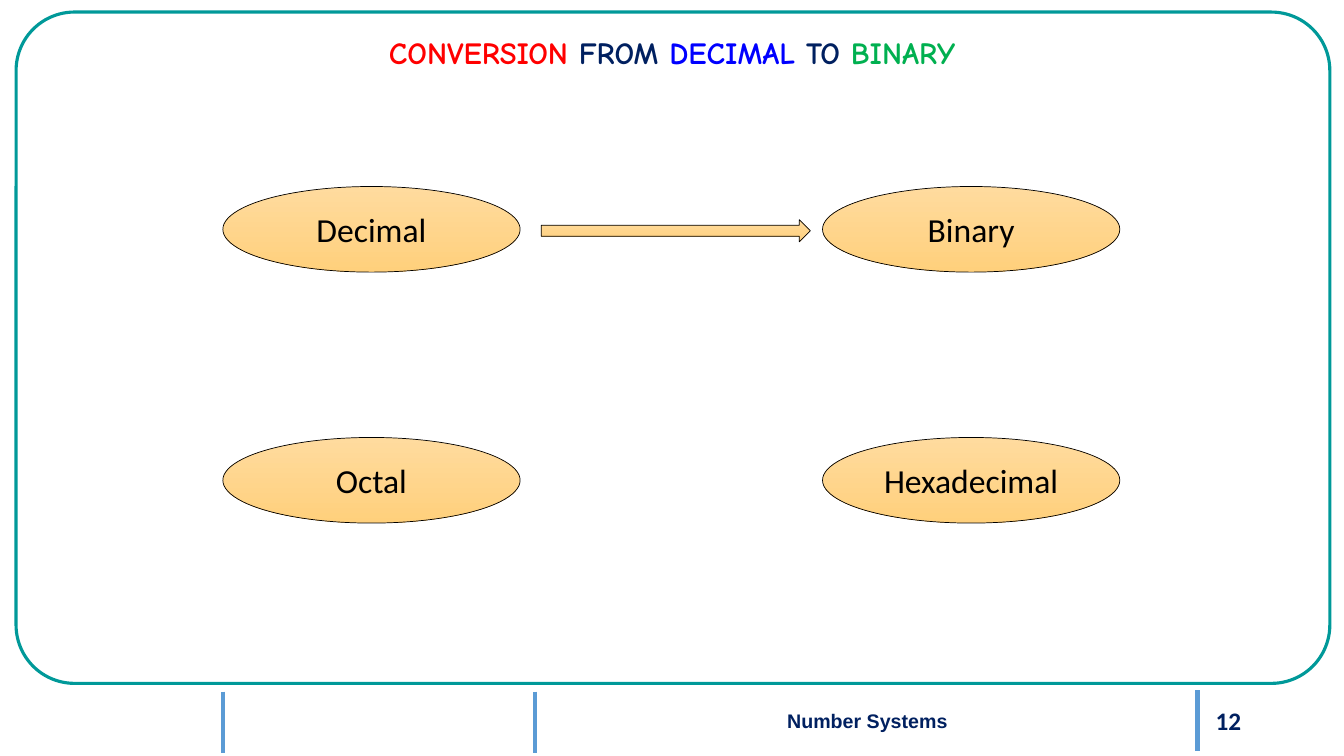
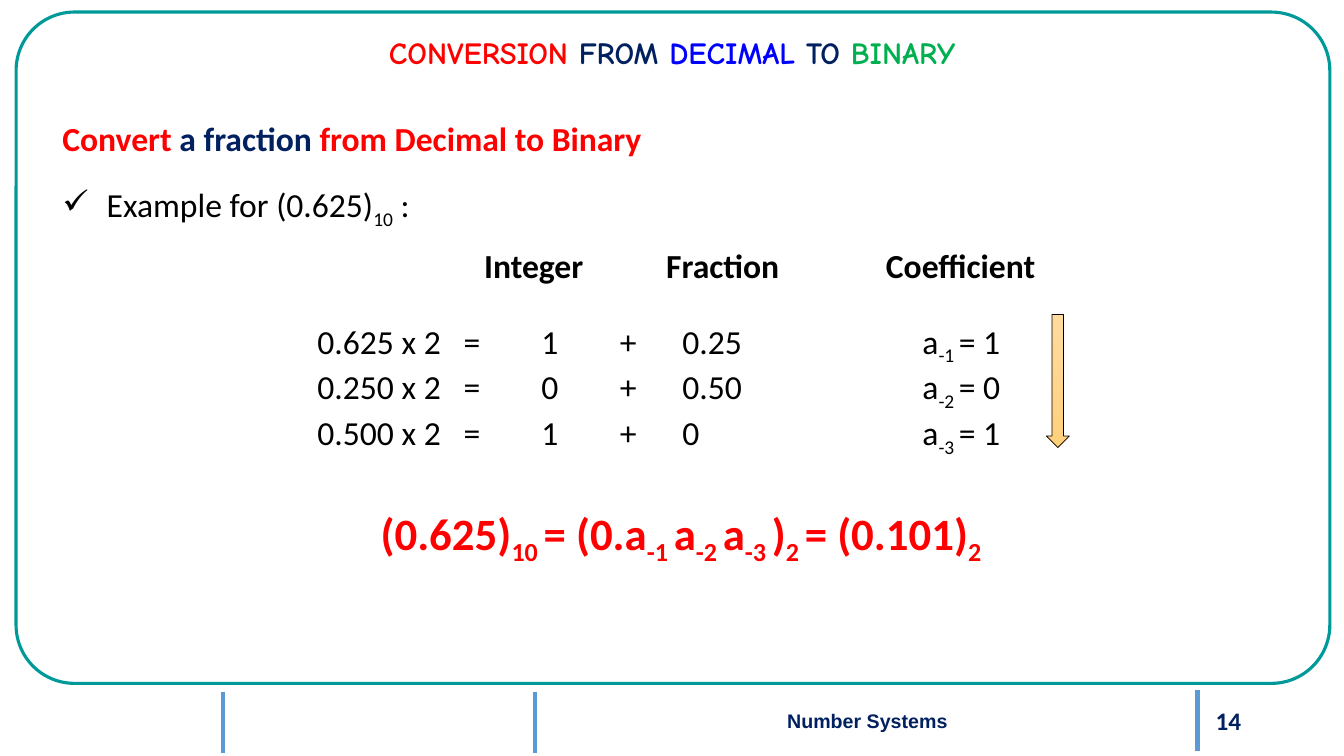
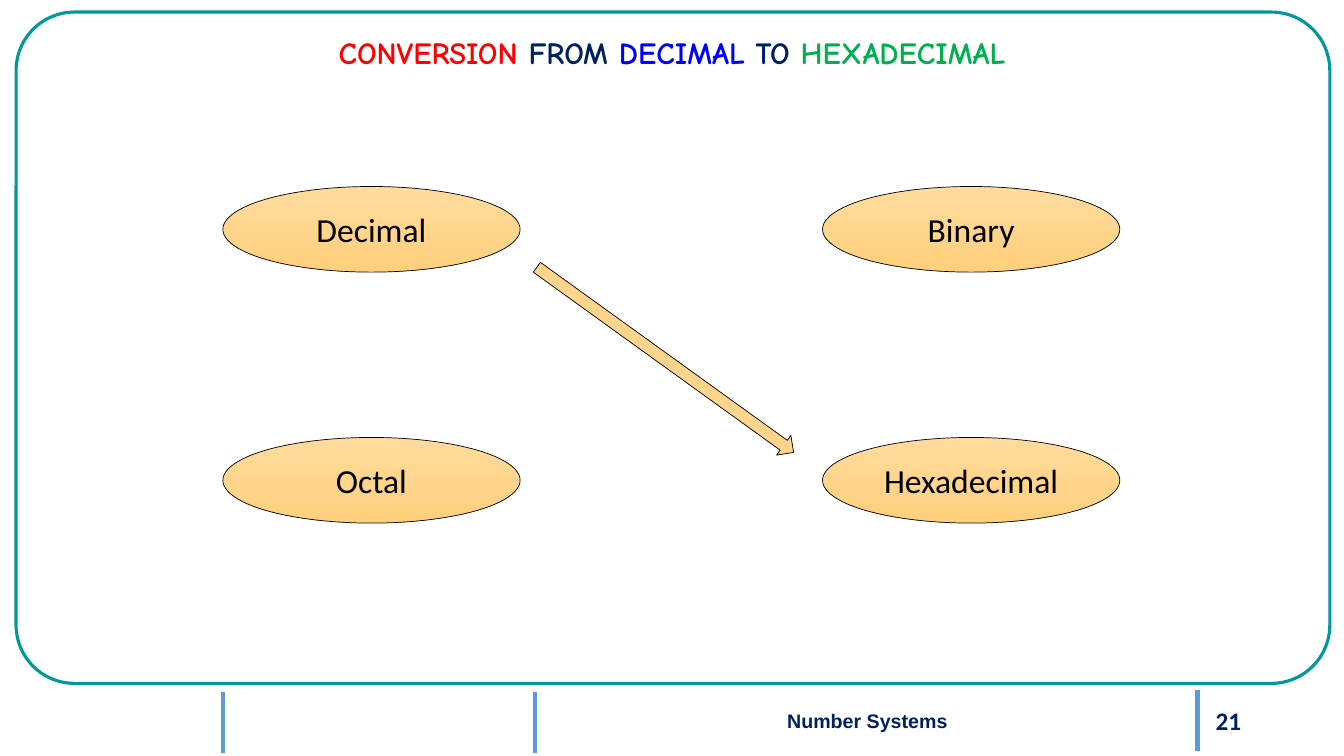
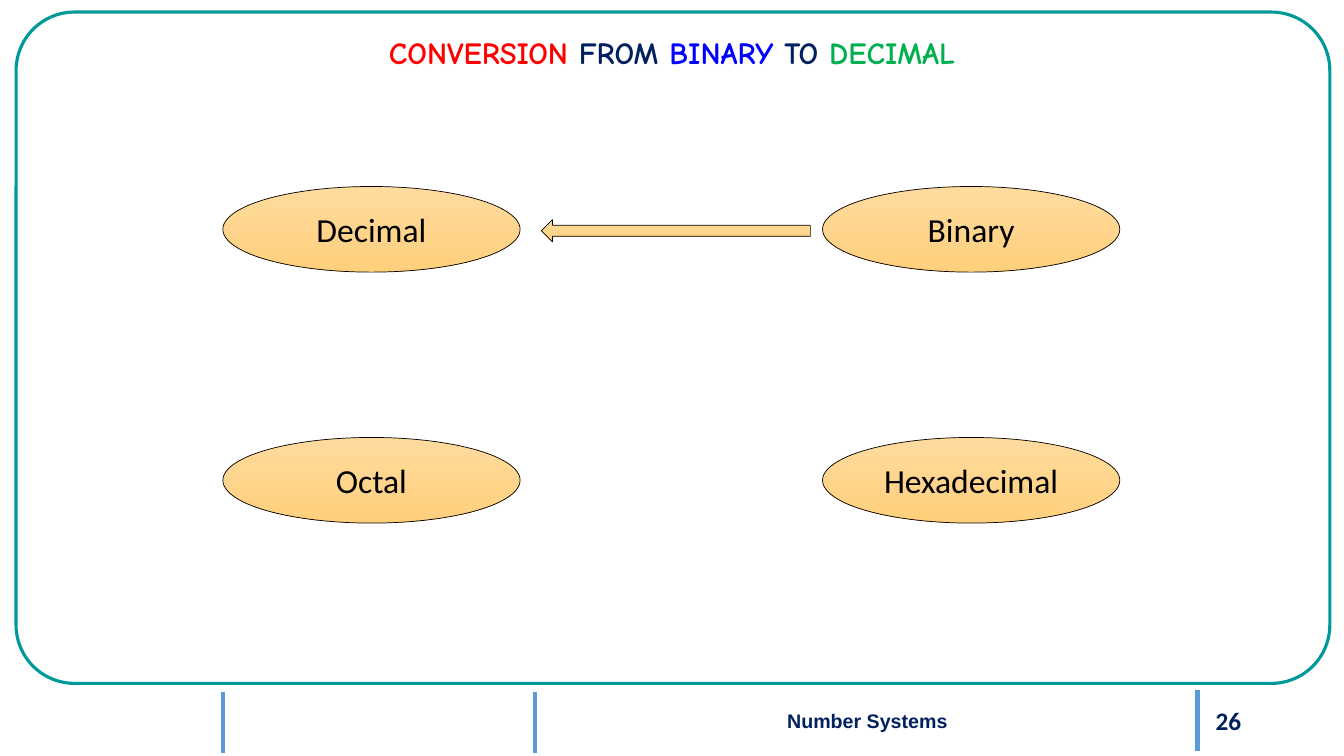
from lxml.etree import SubElement
from pptx import Presentation
from pptx.dml.color import RGBColor
from pptx.enum.shapes import MSO_CONNECTOR, MSO_SHAPE
from pptx.enum.text import MSO_ANCHOR, PP_ALIGN
from pptx.oxml.ns import qn
from pptx.util import Inches, Pt

RED, NAVY, BLUE, GREEN, BLACK = "FF0000", "002060", "0000FF", "00B050", "000000"
TEAL, SKY, WHITE = "009999", "5B9BD5", "FFFFFF"
GOLD = ("FFDB9E", "FFD07C")
LEFT, CENTER, RIGHT = PP_ALIGN.LEFT, PP_ALIGN.CENTER, PP_ALIGN.RIGHT
colour = RGBColor.from_string

deck = Presentation()
deck.slide_width, deck.slide_height = Inches(13.33), Inches(7.5)


def area(left, top, width, height):
    """Turn percentages of the slide's width and height into lengths."""
    across, down = deck.slide_width / 100, deck.slide_height / 100
    return [int(n) for n in (left * across, top * down, width * across, height * down)]


def write(box, text, size=24, font="Calibri", color=BLACK, bold=False, align=LEFT,
          anchor=MSO_ANCHOR.TOP, spacing=None, after=None):
    """Add a paragraph: text is a string or (string, colour) pairs; |x| is a subscript."""
    frame = box.text_frame
    frame.word_wrap, frame.vertical_anchor = True, anchor
    para = frame.paragraphs[0]
    if para.runs:
        para = frame.add_paragraph()
    para.alignment = align
    if spacing:
        para.line_spacing = spacing
    if after:
        para.space_after = Pt(after)
    for part, part_color in [(text, color)] if isinstance(text, str) else text:
        for index, piece in enumerate(part.split("|")):
            if not piece:
                continue
            span = para.add_run()
            span.text = piece
            span.font.name, span.font.size, span.font.bold = font, Pt(size), bold
            span.font.color.rgb = colour(part_color)
            if index % 2:
                span.font._element.set("baseline", "-25000")
    return para


# Number, source and target system, and the arrow of each page
ACROSS = (40.28, 29.07, 20.02, 2.93)
pages = [
    (12, "DECIMAL", "BINARY", MSO_SHAPE.RIGHT_ARROW, ACROSS, 0),
    (14, "DECIMAL", "BINARY", MSO_SHAPE.DOWN_ARROW, (77.85, 41.6, 1.72, 17.6), 0),
    (21, "DECIMAL", "HEXADECIMAL", MSO_SHAPE.RIGHT_ARROW, (37.72, 46, 23.55, 3.2), 35.8),
    (26, "BINARY", "DECIMAL", MSO_SHAPE.LEFT_ARROW, ACROSS, 0),
]
systems = [["Decimal", "Binary"], ["Octal", "Hexadecimal"]]
dividers = [(39.83, 91.47, 99.6), (16.58, 91.47, 99.6), (89.1, 91.33, 99.33)]

for number, source, target, arrow_kind, arrow_area, angle in pages:
    page = deck.slides.add_slide(deck.slide_layouts[6])
    shapes = page.shapes

    # Frame
    border = shapes.add_shape(MSO_SHAPE.ROUNDED_RECTANGLE, *area(1.2, 1.6, 97.75, 88.8))
    border.adjustments[0] = 0.087
    border.shadow.inherit = False
    border.fill.solid()
    border.fill.fore_color.rgb = colour(WHITE)
    border.line.color.rgb, border.line.width = colour(TEAL), Pt(2.25)

    # Footer
    box = shapes.add_textbox(*area(82.8, 92.67, 10.28, 5.33))
    write(box, str(number), size=18, color=NAVY, bold=True, align=RIGHT,
          anchor=MSO_ANCHOR.MIDDLE)
    box = shapes.add_textbox(*area(44.7, 93.07, 39.68, 4.53))
    write(box, "Number Systems", size=14, font="Arial", color=NAVY, bold=True, align=CENTER)
    for x, top, bottom in dividers:
        divider = shapes.add_connector(MSO_CONNECTOR.STRAIGHT, *area(x, top, x, bottom))
        divider.line.color.rgb, divider.line.width = colour(SKY), Pt(3)
        SubElement(divider._element.spPr, qn("a:effectLst"))

    # Title
    box = shapes.add_textbox(*area(3.9, 3.87, 92.2, 6.27))
    write(box, [("CONVERSION", RED), (" FROM ", NAVY), (source, BLUE), (" TO ", NAVY),
                (target, GREEN)], size=22, font="Comic Neue", bold=True, align=CENTER)

    golden = []
    if arrow_kind == MSO_SHAPE.DOWN_ARROW:
        # Worked example: statement
        box = shapes.add_textbox(*area(3.9, 13.87, 92.2, 23.2))
        write(box, [("Convert ", RED), ("a fraction ", NAVY), ("from Decimal to Binary", RED)],
              bold=True, spacing=1.2, after=12)
        para = write(box, "Example for (0.625)|10| :", spacing=1.2, after=6)
        bullet = para._p.get_or_add_pPr()
        bullet.set("marL", str(Inches(0.44)))
        bullet.set("indent", str(-Inches(0.44)))
        SubElement(bullet, qn("a:buChar")).set("char", "✓")

        # Worked example: column heads
        for head, left, width, align in [("Integer", 32.62, 14.18, CENTER),
                                         ("Fraction", 48.83, 16.8, LEFT),
                                         ("Coefficient", 65.18, 16.65, LEFT)]:
            box = shapes.add_textbox(*area(left, 31.73, width, 6.67))
            write(box, head, bold=True, align=align)

        # Worked example: multiplication steps on tab stops
        box = shapes.add_textbox(*area(22.88, 41.73, 53.85, 17.47))
        steps = [("0.625", 1, "0.25"), ("0.250", 0, "0.50"), ("0.500", 1, "0")]
        for row, (value, digit, rest) in enumerate(steps, 1):
            para = write(box, f"{value} x 2\t=\t{digit}\t+\t{rest}\ta|-{row} |= {digit}")
            tabs = SubElement(para._p.get_or_add_pPr(), qn("a:tabLst"))
            for stop in (1.45, 2.22, 3, 3.62, 6):
                tab = SubElement(tabs, qn("a:tab"))
                tab.set("pos", str(Inches(stop)))
                tab.set("algn", "l")

        # Worked example: result
        box = shapes.add_textbox(*area(23.48, 66.27, 54.38, 8.53))
        write(box, "(0.625)|10 |= (0.a|-1 |a|-2 |a|-3 |)|2 |= (0.101)|2|",
              size=32, color=RED, bold=True, align=CENTER)
    else:
        # Diagram of the four number systems
        for row, names in enumerate(systems):
            for column, name in enumerate(names):
                oval = shapes.add_shape(MSO_SHAPE.OVAL, *area(
                    16.58 + 44.62 * column, 24.67 + 33.2 * row, 22.12, 11.33))
                write(oval, name, align=CENTER, anchor=MSO_ANCHOR.MIDDLE)
                golden.append(oval)

    # Arrow, and the gold style it shares with the ovals
    arrow = shapes.add_shape(arrow_kind, *area(*arrow_area))
    arrow.rotation = angle
    for shape in golden + [arrow]:
        shape.shadow.inherit = False
        shape.fill.gradient()
        shape.fill.gradient_angle = 270
        for stop, tone in zip(shape.fill.gradient_stops, GOLD):
            stop.color.rgb = colour(tone)
        shape.line.color.rgb, shape.line.width = colour(BLACK), Pt(0.5)

deck.save("out.pptx")
